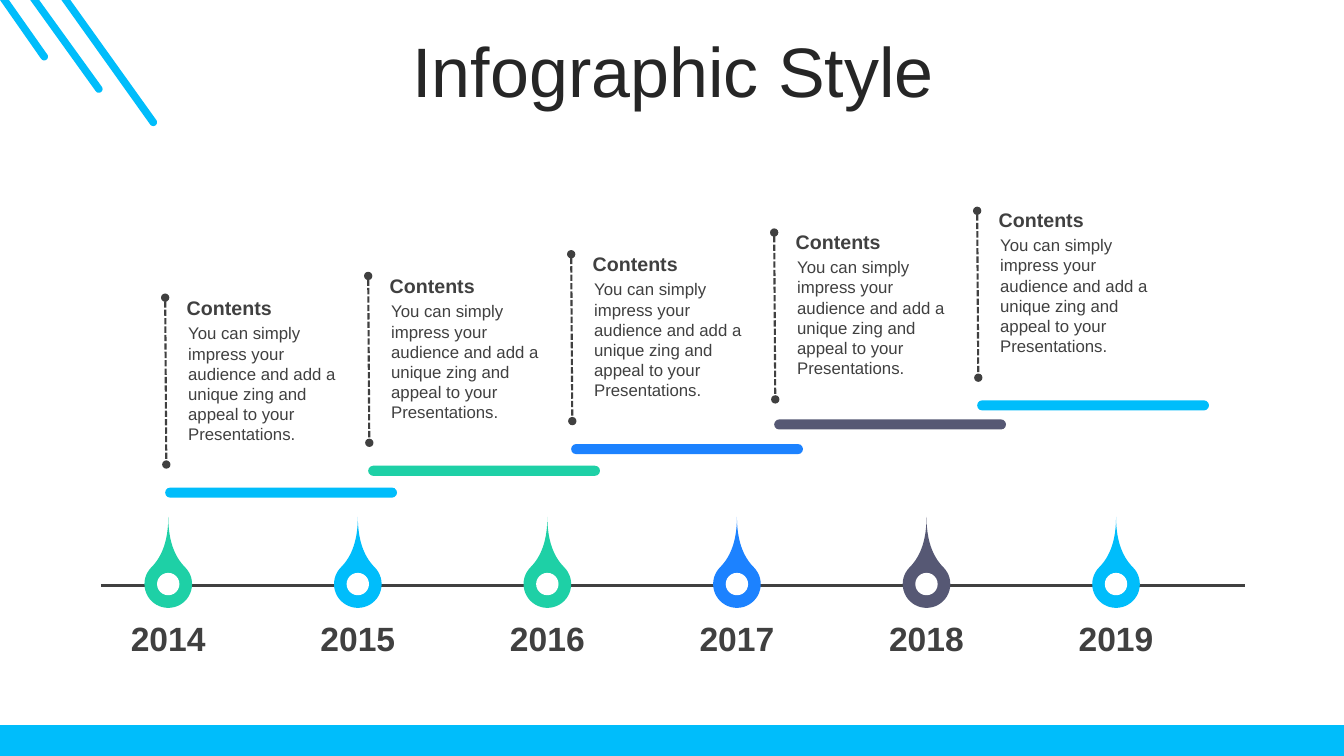
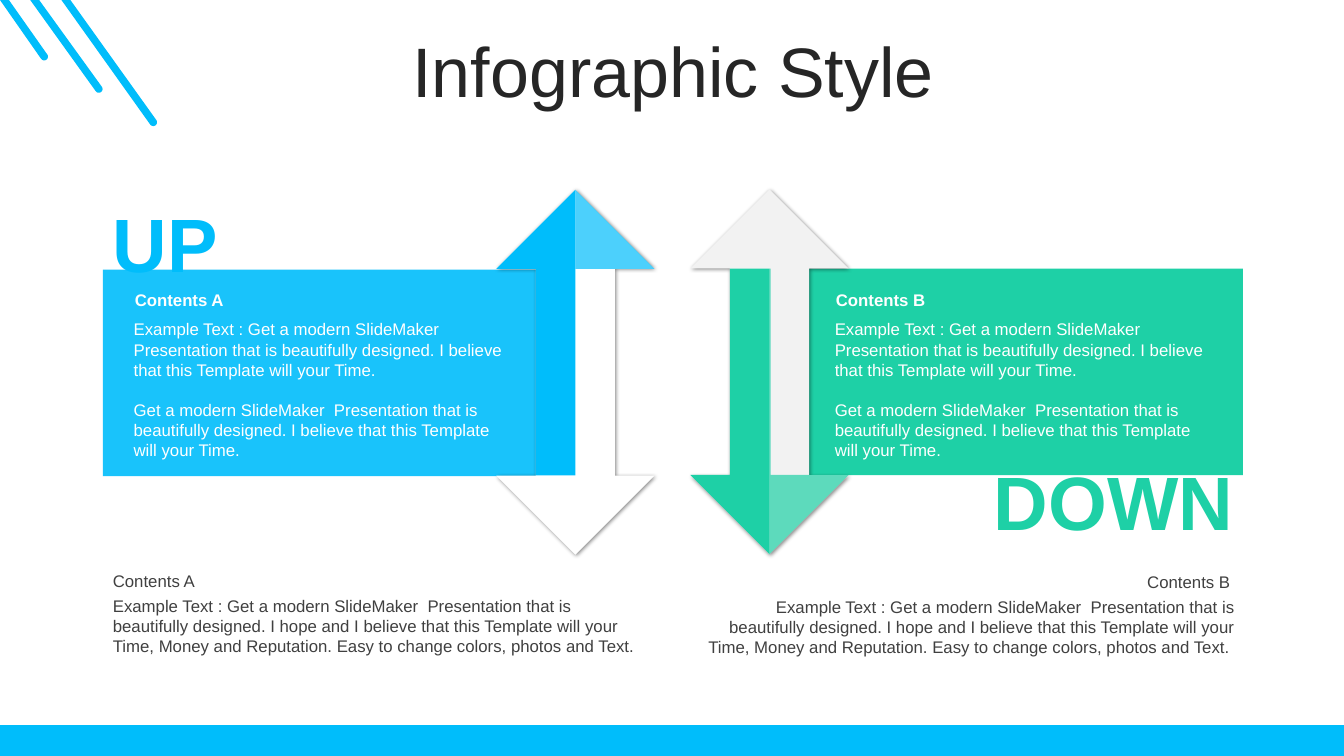
from math import cos, sin, radians

from lxml import etree
from pptx import Presentation
from pptx.dml.color import RGBColor
from pptx.enum import shapes as es, text as et
from pptx.oxml.ns import qn
from pptx.util import Pt

CYAN = RGBColor(0x00, 0xBD, 0xFB)
GREEN = RGBColor(0x1E, 0xD0, 0xA6)
BLUE = RGBColor(0x1C, 0x82, 0xFF)
SLATE = RGBColor(0x56, 0x58, 0x74)
DARK = RGBColor(0x40, 0x40, 0x40)
INK = RGBColor(0x26, 0x26, 0x26)
PALE = RGBColor(0xF2, 0xF2, 0xF2)
WHITE = RGBColor(0xFF, 0xFF, 0xFF)
FONT = "Arial"
WIDE, HIGH = 960, 540

KIND = es.MSO_SHAPE
LEFT, MID, RIGHT = et.PP_ALIGN.LEFT, et.PP_ALIGN.CENTER, et.PP_ALIGN.RIGHT

CARD = ("You can simply impress your audience and add a unique zing "
        "and appeal to your Presentations.")
DECK = "Get a modern SlideMaker  Presentation that is beautifully designed. "
PITCH = DECK + "I believe that this Template will your Time."
NOTE = ("Example Text : " + DECK + "I hope and I believe that this Template will your "
        "Time, Money and Reputation. Easy to change colors, photos and Text.")


def sub(parent, tag, **attrs):
    return etree.SubElement(parent, qn(tag), {k: str(v) for k, v in attrs.items()})


def paint(shape, color, alpha=100):
    """Flat fill without outline or shadow; alpha in percent."""
    shape.shadow.inherit = False
    shape.line.fill.background()
    shape.fill.solid()
    shape.fill.fore_color.rgb = color
    if alpha < 100:
        tone = shape.element.spPr.find(qn("a:solidFill"))[0]
        sub(tone, "a:alpha", val=alpha * 1000)
    return shape


def block(slide, kind, x, y, w, h, color, alpha=100):
    shape = slide.shapes.add_shape(kind, Pt(x), Pt(y), Pt(w), Pt(h))
    return paint(shape, color, alpha)


def outline(slide, loops, color, alpha=100):
    """Closed polygons, all in one freeform."""
    loops = [[(Pt(x), Pt(y)) for x, y in loop] for loop in loops]
    pen = slide.shapes.build_freeform(*loops[0][0])
    for n, loop in enumerate(loops):
        if n:
            pen.move_to(*loop[0])
        pen.add_line_segments(loop[1:], close=True)
    return paint(pen.convert_to_shape(), color, alpha)


def rule(slide, x1, y1, x2, y2, width, dots=False):
    line = slide.shapes.add_connector(
        es.MSO_CONNECTOR.STRAIGHT, Pt(x1), Pt(y1), Pt(x2), Pt(y2))
    line.line.color.rgb = DARK
    line.line.width = Pt(width)
    if dots:
        ln = line.element.spPr.find(qn("a:ln"))
        sub(ln, "a:prstDash", val="sysDash")
        sub(ln, "a:headEnd", type="oval")
        sub(ln, "a:tailEnd", type="oval")
    sub(line.element.spPr, "a:effectLst")


def write(para, words, size, color, bold=False):
    run = para.add_run()
    run.text = words
    font = run.font
    font.name, font.size, font.bold = FONT, Pt(size), bold
    font.color.rgb = color


def label(slide, x, y, w, h, paras, size, color, bold=False, align=LEFT,
          pad=(7.2, 3.6), middle=False):
    frame = slide.shapes.add_textbox(Pt(x), Pt(y), Pt(w), Pt(h)).text_frame
    frame.word_wrap = True
    frame.margin_left = frame.margin_right = Pt(pad[0])
    frame.margin_top = frame.margin_bottom = Pt(pad[1])
    if middle:
        frame.vertical_anchor = et.MSO_ANCHOR.MIDDLE
    for n, words in enumerate(paras):
        para = frame.add_paragraph() if n else frame.paragraphs[0]
        para.alignment = align
        if n:
            para.space_before = Pt(14.4)
        write(para, words, size, color, bold)


def stripe(start, x, y):
    """Slanted bar from the top edge to a round cap centred on x, y."""
    cap = [(x + 2.7 * cos(radians(a)), y + 2.7 * sin(radians(a)))
           for a in range(146, -35, -20)]
    return [(start + 6.4, 0), (start, 0)] + cap


def dress(layout, slide):
    """Put the title box, bottom band and corner stripes on the layout."""
    for holder in list(layout.placeholders):
        if holder.placeholder_format.idx:
            holder.element.getparent().remove(holder.element)
        else:
            holder.left, holder.top = Pt(25.3), Pt(26.6)
            holder.width, holder.height = Pt(911.5), Pt(57)
    band = block(slide, KIND.RECTANGLE, 0, 518, WIDE, 22, CYAN)
    corner = outline(slide, [stripe(0, 31.6, 40.5), stripe(21.6, 70.6, 63.6),
                             stripe(43.9, 109.5, 87.4)], CYAN)
    for n, part in enumerate((band, corner)):
        layout.shapes.element.insert(2 + n, part.element)


def head(slide, words):
    frame = slide.shapes.title.text_frame
    frame.vertical_anchor = et.MSO_ANCHOR.MIDDLE
    para = frame.paragraphs[0]
    para.alignment = MID
    para.line_spacing = 0.8
    write(para, words, 50, INK)


def drop(slide, x, y, year, color):
    """Year marker centred on x, y."""
    tear = block(slide, KIND.TEAR, x - 17, y - 17, 34, 34, color)
    tear.adjustments[0] = 2
    tear.rotation = 315
    label(slide, x - 43.2, y + 24.2, 86.4, 29, [year], 24, DARK, True, MID, (0, 0))
    block(slide, KIND.OVAL, x - 8, y - 8, 16, 16, WHITE)


def card(slide, x, y, rise):
    """Dashed rule from x, y; the text starts rise above it."""
    top = y - rise
    label(slide, x + 9.3, top + 19.3, 123.8, 94.3, [CARD], 12, DARK)
    label(slide, x + 6.8, top, 124.6, 24.5, ["Contents"], 14, DARK, True,
          pad=(8.6, 3.6))
    rule(slide, x, y, x + 0.8, y + 119.2, 1.5, True)


def years(slide):
    rule(slide, 72, 418.3, 889.5, 418.3, 1.75)
    for n, color in enumerate((GREEN, CYAN, GREEN, BLUE, SLATE, CYAN)):
        drop(slide, 120.2, 417.2, str(2014 + n), color) if n == 0 else \
            drop(slide, 120.2 + 135.4 * n, 417.2, str(2014 + n), color)
    steps = ((CYAN, 348.3), (GREEN, 332.7), (BLUE, 317.2), (SLATE, 299.6), (CYAN, 286))
    for n, (color, top) in enumerate(steps):
        x = 118 + 145 * n
        bar = block(slide, KIND.ROUNDED_RECTANGLE, x, top, 165.6, 7.2, color)
        bar.adjustments[0] = 0.5
        card(slide, x, 212.6 - 15.5 * n, 4.6 + 0.25 * n)


def panel(slide, x, y, color, alpha):
    block(slide, KIND.RECTANGLE, x, y, 311.8, 147.4, color, alpha)


def copy(slide, x, name):
    label(slide, x + 0.8, 203.3, 283, 21.8, [name], 12, WHITE, True)
    label(slide, x, 224.4, 285, 109, ["Example Text : " + PITCH, PITCH], 12, WHITE)


def arrow(slide, x, y, base, tint, up):
    """Double arrow with one half and one head tinted."""
    w, h, tip, stem, seam = 113, 260.6, 56.5, 28.25, 0.7
    shape = block(slide, KIND.UP_DOWN_ARROW, x, y, w, h, base)
    glow = shape.element.spPr.find(qn("a:effectLst"))
    cast = sub(glow, "a:outerShdw", blurRad=Pt(3), dist=Pt(1), dir=45 * 60000,
               algn="tl", rotWithShape=0)
    sub(sub(cast, "a:srgbClr", val="000000"), "a:alpha", val=47000)

    def place(points):
        return [[(x + tip + a, y + b if up else y + h - b) for a, b in points]]

    half = [(0, 0), (0, 204), (-stem, 204), (-stem, tip), (-tip, tip)]
    side = [(0, 0), (tip, tip), (0, tip)]
    if not up:
        side[2:] = [(seam, tip), (seam, 204), (0, 204)]
    outline(slide, place(half), tint)
    outline(slide, place(side), tint, 70)


def note(slide, x, y, name, align):
    tail = " " if align == RIGHT else ""
    label(slide, x, y + 18, 394, 51, [NOTE + tail], 12, DARK, align=align)
    label(slide, x, y, 394, 21.8, [name + tail], 12, DARK, align=align)


def updown(slide):
    panel(slide, 73.5, 192.7, CYAN, 90)
    panel(slide, 576, 192, GREEN, 100)
    label(slide, 73.5, 137, 119, 72.7, ["UP"], 54, CYAN, True, middle=True)
    label(slide, 689.3, 321, 198.5, 72.7, ["DOWN"], 54, GREEN, True, RIGHT, middle=True)
    arrow(slide, 354.5, 135.6, WHITE, CYAN, True)
    arrow(slide, 493.2, 135.2, PALE, GREEN, False)
    copy(slide, 88.4, "Contents A")
    copy(slide, 589.2, "Contents B")
    note(slide, 73.5, 404, "Contents A", LEFT)
    note(slide, 495.2, 404.6, "Contents B", RIGHT)


def main():
    deck = Presentation()
    deck.slide_width, deck.slide_height = Pt(WIDE), Pt(HIGH)
    layout = deck.slide_layouts[5]
    for n, fill in enumerate((years, updown)):
        slide = deck.slides.add_slide(layout)
        if n == 0:
            dress(layout, slide)
        head(slide, "Infographic Style")
        fill(slide)
    deck.save("out.pptx")


if __name__ == "__main__":
    main()
